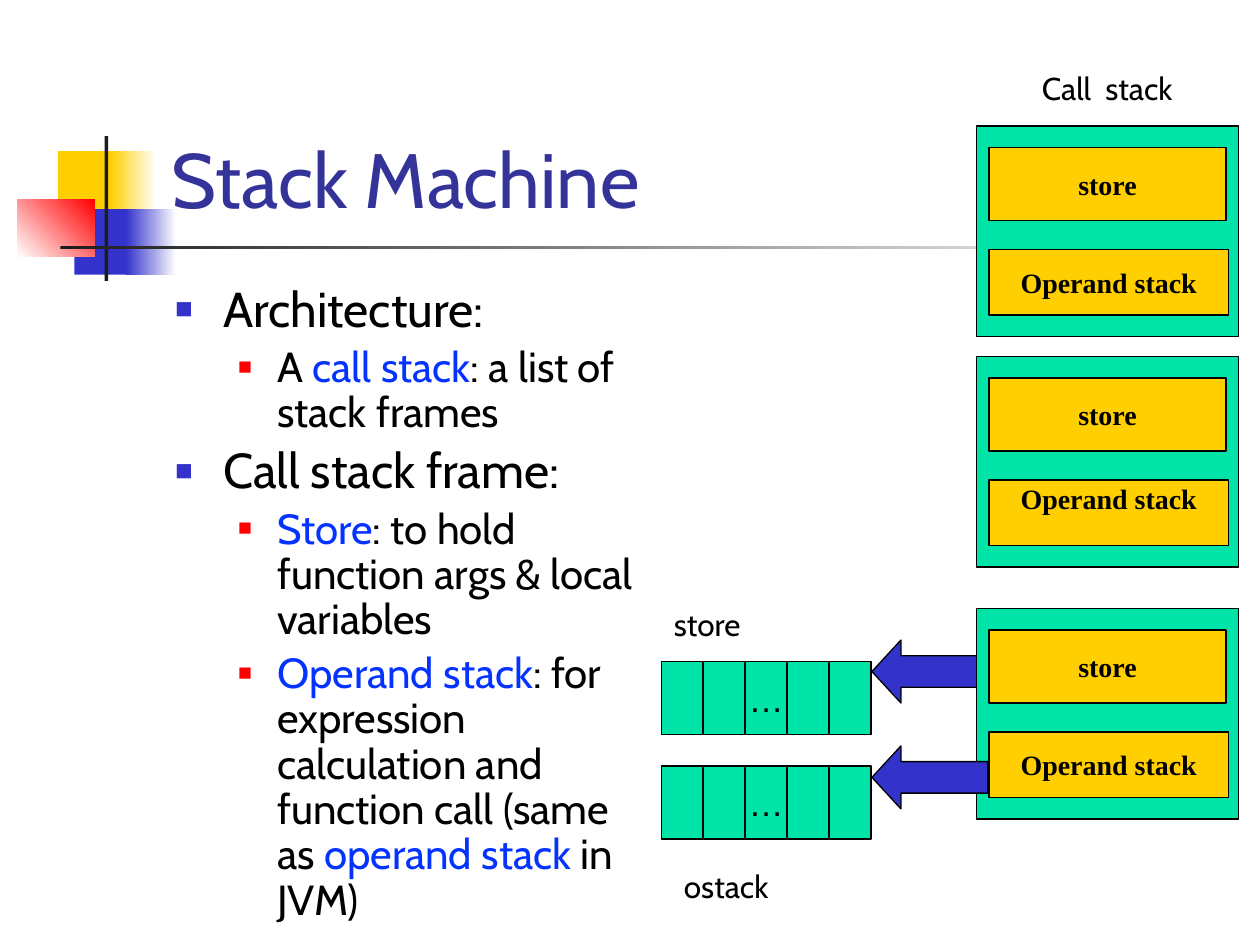
from lxml import etree
from pptx import Presentation
from pptx.dml.color import RGBColor
from pptx.enum.shapes import MSO_SHAPE as SHAPE
from pptx.enum.text import MSO_ANCHOR as ANCHOR, MSO_AUTO_SIZE as AUTO, PP_ALIGN as ALIGN
from pptx.oxml.ns import qn
from pptx.util import Inches, Pt

BLACK = RGBColor(0x00, 0x00, 0x00)
WHITE = RGBColor(0xFF, 0xFF, 0xFF)
DARK = RGBColor(0x1C, 0x1C, 0x1C)
YELLOW = RGBColor(0xFF, 0xCF, 0x01)
BLUE = RGBColor(0x33, 0x33, 0xCC)
RED = RGBColor(0xFF, 0x00, 0x00)
GREEN = RGBColor(0x00, 0xE4, 0xA8)
TITLE = RGBColor(0x33, 0x33, 0x99)
TERM = RGBColor(0x04, 0x32, 0xFF)


def add_box(x, y, w, h, color, kind=SHAPE.RECTANGLE, outlined=True):
    s = shapes.add_shape(kind, Inches(x), Inches(y), Inches(w), Inches(h))
    s.shadow.inherit = False
    s.fill.solid()
    s.fill.fore_color.rgb = color
    if outlined:
        s.line.color.rgb = BLACK
        s.line.width = Pt(0.75)
    else:
        s.line.fill.background()
    return s


def add_run(p, text, font, size, color=BLACK, bold=False):
    r = p.add_run()
    r.text = text
    r.font.name = font
    r.font.size = Pt(size)
    r.font.bold = bold
    r.font.color.rgb = color


prs = Presentation()
prs.slide_width = Inches(10)
prs.slide_height = Inches(7.5)
slide = prs.slides.add_slide(prs.slide_layouts[1])
shapes = slide.shapes

# Corner decoration: end colour None means a plain fill
decoration = [
    (0.46, 1.2, 0.48, 0.52, YELLOW, None, 0),
    (0.88, 1.2, 0.36, 0.52, YELLOW, WHITE, 0),
    (0.59, 1.66, 0.46, 0.52, BLUE, None, 0),
    (1, 1.66, 0.4, 0.52, BLUE, WHITE, 0),
    (0.14, 1.58, 0.61, 0.46, WHITE, RED, 45),
    (0.83, 1.08, 0.03, 1.15, DARK, None, 0),
    (0.48, 1.95, 9, 0.03, DARK, WHITE, 0),
]
for x, y, w, h, start, end, angle in decoration:
    s = add_box(x, y, w, h, start, outlined=False)
    if end is not None:
        s.fill.gradient()
        s.fill.gradient_angle = angle
        for stop, color in zip(s.fill.gradient_stops, (start, end)):
            stop.color.rgb = color

# Title
title = shapes.title
title.left, title.top = Inches(1.26), Inches(0.23)
title.width, title.height = Inches(8.52), Inches(1.6)
tf = title.text_frame
tf.auto_size = AUTO.NONE
tf.vertical_anchor = ANCHOR.BOTTOM
p = tf.paragraphs[0]
p.alignment = ALIGN.LEFT
add_run(p, "Stack Machine", "Cabin", 44, TITLE)

# Bullet list: level, then runs of text and colour
bullets = [
    (0, [("Architecture:", BLACK)]),
    (1, [("A ", BLACK), ("call stack", TERM), (": a list of stack frames", BLACK)]),
    (0, [("Call stack frame:", BLACK)]),
    (1, [("Store", TERM), (": to hold function args & local variables", BLACK)]),
    (1, [("Operand stack", TERM),
         (": for expression calculation and function call (same as ", BLACK),
         ("operand stack ", TERM), ("in JVM)", BLACK)]),
]
# Per level: size, left margin, hanging indent, bullet colour, bullet percent
levels = [(28, 0.38, 0.38, BLUE, 60), (24, 0.81, 0.31, RED, 55)]
body = slide.placeholders[1]
body.left, body.top = Inches(1.29), Inches(2.21)
body.width, body.height = Inches(3.87), Inches(4.5)
tf = body.text_frame
tf.auto_size = AUTO.NONE
for i, (level, runs) in enumerate(bullets):
    size, margin, hanging, color, percent = levels[level]
    p = tf.add_paragraph() if i else tf.paragraphs[0]
    pPr = p._p.get_or_add_pPr()
    pPr.set("marL", str(Inches(margin)))
    pPr.set("indent", str(-Inches(hanging)))
    bu_color = etree.SubElement(pPr, qn("a:buClr"))
    etree.SubElement(bu_color, qn("a:srgbClr"), val=str(color))
    etree.SubElement(pPr, qn("a:buSzPct"), val=str(percent * 1000))
    etree.SubElement(pPr, qn("a:buFont"), typeface="Arial")
    etree.SubElement(pPr, qn("a:buChar"), char="■")
    p.level = level
    p.line_spacing = 0.9
    p.space_before = Pt(size * 0.2 if i else 0)
    for text, run_color in runs:
        add_run(p, text, "Cabin", size, run_color)

# Cell rows of the store and the operand stack
for y in (5.25, 6.08):
    for col in range(5):
        s = add_box(5.25 + col / 3, y, 0.33, 0.58, GREEN)
        if col == 2:
            tf = s.text_frame
            tf.word_wrap = False
            p = tf.paragraphs[0]
            p.alignment = ALIGN.CENTER
            add_run(p, "…", "Arial", 20)

# Call stack frames; the store arrow lies under the last one, the other on top
arrows = []
for y in (5.08, 5.92):
    s = add_box(6.92, y, 0.92, 0.5, BLUE, SHAPE.LEFT_ARROW)
    s.adjustments[0], s.adjustments[1] = 0.5, 0.46
    arrows.append(s)

for top in (1, 2.83, 4.83):
    add_box(7.75, top, 2.08, 1.67, GREEN)
    for label, dy, w, h in (("store", 0.17, 1.88, 0.58), ("Operand stack", 0.98, 1.9, 0.52)):
        s = add_box(7.85, top + dy, w, h, YELLOW)
        tf = s.text_frame
        tf.word_wrap = False
        tf.vertical_anchor = ANCHOR.MIDDLE
        if top == 2.83 and label == "Operand stack":
            tf.vertical_anchor = ANCHOR.TOP
            tf.margin_top = Inches(0.01)
        p = tf.paragraphs[0]
        p.alignment = ALIGN.CENTER
        add_run(p, label, "Times New Roman", 16, bold=True)
shapes._spTree.append(arrows[1]._element)

# Captions
for text, x, y, w in (("Call  stack", 8.17, 0.5, 1.5),
                      ("store", 5.25, 4.75, 1.33),
                      ("ostack", 5.33, 6.83, 1.33)):
    tf = shapes.add_textbox(Inches(x), Inches(y), Inches(w), Inches(0.4)).text_frame
    tf.word_wrap = True
    tf.auto_size = AUTO.SHAPE_TO_FIT_TEXT
    add_run(tf.paragraphs[0], text, "Cabin", 18)

prs.save("out.pptx")
